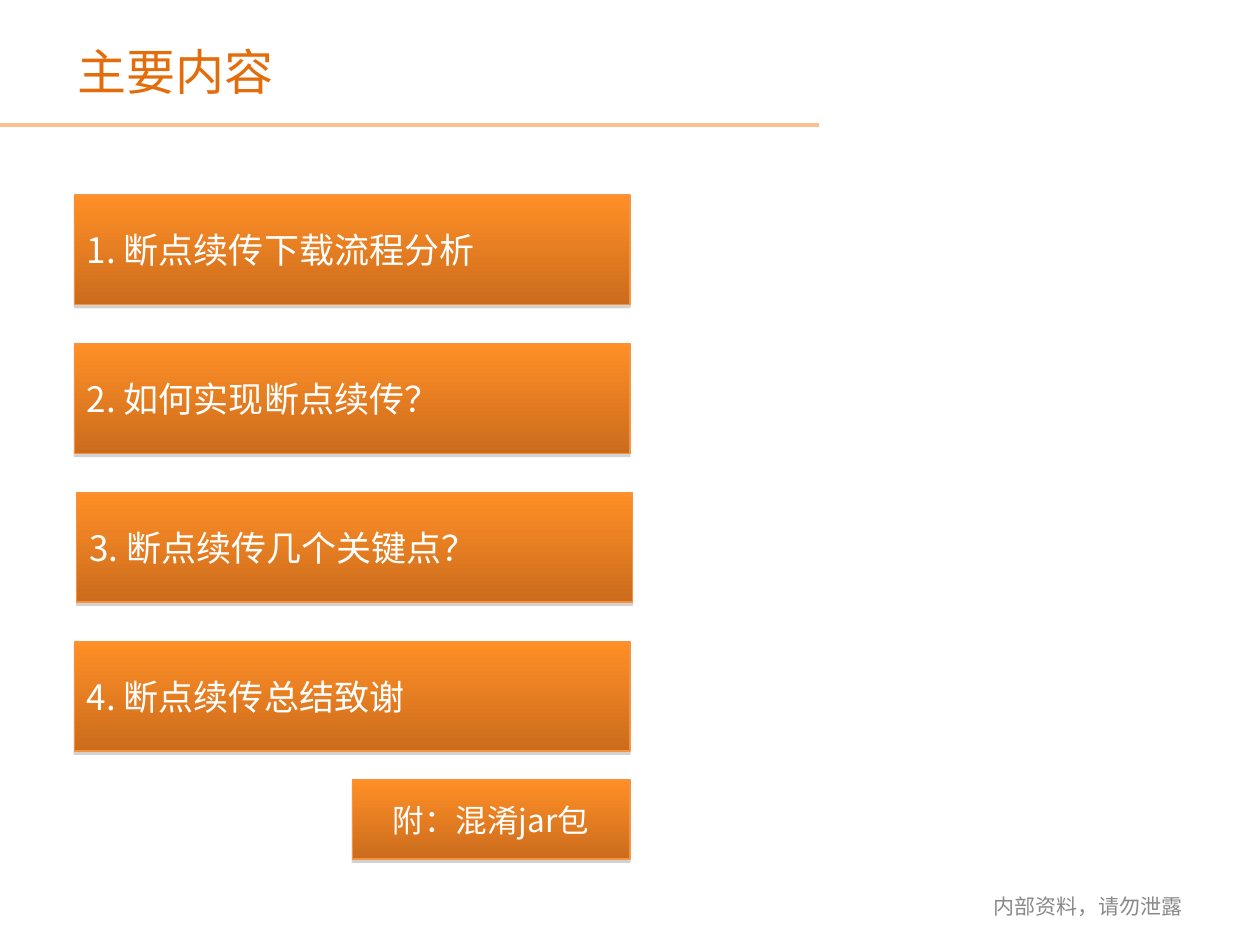
from lxml import etree
from pptx import Presentation
from pptx.dml.color import RGBColor
from pptx.enum.shapes import MSO_CONNECTOR, MSO_SHAPE
from pptx.enum.text import MSO_ANCHOR, PP_ALIGN
from pptx.oxml import parse_xml
from pptx.oxml.ns import nsdecls, qn
from pptx.util import Cm, Pt

RECTANGLE, STRAIGHT = MSO_SHAPE.RECTANGLE, MSO_CONNECTOR.STRAIGHT
TOP, MIDDLE = MSO_ANCHOR.TOP, MSO_ANCHOR.MIDDLE
LEFT, CENTER = PP_ALIGN.LEFT, PP_ALIGN.CENTER

WHITE = RGBColor(0xFF, 0xFF, 0xFF)
TITLE_ORANGE = RGBColor(0xE4, 0x6C, 0x0A)
RULE_PEACH = RGBColor(0xFA, 0xC0, 0x90)
BAR_LIGHT = RGBColor(0xFF, 0x8F, 0x26)
BAR_DARK = RGBColor(0xCB, 0x6C, 0x1D)
BAR_EDGE = RGBColor(0xF6, 0x92, 0x40)
FOOTER_GRAY = RGBColor(0x89, 0x89, 0x89)
CJK_FONT = "Noto Sans CJK SC"

# Content
TITLE = "主要内容"
TOPICS = [  # text, left edge in cm
    ("1. 断点续传下载流程分析", 1.5),
    ("2. 如何实现断点续传？", 1.5),
    ("3. 断点续传几个关键点？", 1.55),
    ("4. 断点续传总结致谢", 1.5),
]
APPENDIX = "附：混淆jar包"
FOOTER = "内部资料，请勿泄露"

# Layout in cm
TOPIC_TOP, TOPIC_STEP = 3.93, 3.0
TOPIC_WIDTH, TOPIC_HEIGHT = 11.2, 2.21

# Text formats
TITLE_FONT = {"size": Pt(28), "name": CJK_FONT}
TOPIC_FONT = {"size": Pt(20), "name": CJK_FONT}
APPENDIX_FONT = {"size": Pt(18), "name": CJK_FONT}
FOOTER_FONT = {"size": Pt(12), "name": "Calibri"}

SHADOW = (
    f'<a:outerShdw {nsdecls("a")} blurRad="0" dist="22860" dir="5400000" '
    'algn="t" rotWithShape="0"><a:srgbClr val="808080">'
    '<a:alpha val="35000"/></a:srgbClr></a:outerShdw>'
)


def write(shape, text, font_format, color, align, anchor=MIDDLE, wrap=True):
    frame = shape.text_frame
    frame.word_wrap = wrap
    frame.vertical_anchor = anchor
    paragraph = frame.paragraphs[0]
    paragraph.alignment = align
    run = paragraph.add_run()
    run.text = text
    for attribute, value in font_format.items():
        setattr(run.font, attribute, value)
    run.font.color.rgb = color
    # East Asian typeface
    etree.SubElement(run.font._element, qn("a:ea")).set("typeface", CJK_FONT)


def add_bar(slide, box, text, font_format, align):
    bar = slide.shapes.add_shape(RECTANGLE, *map(Cm, box))
    bar.fill.gradient()
    bar.fill.gradient_angle = 270
    for stop, position, color in zip(
        bar.fill.gradient_stops, (0, 1), (BAR_LIGHT, BAR_DARK)
    ):
        stop.position = position
        stop.color.rgb = color
    bar.line.color.rgb = BAR_EDGE
    bar.line.width = Pt(0.75)
    bar.shadow.inherit = False
    bar._element.spPr.find(qn("a:effectLst")).append(parse_xml(SHADOW))
    write(bar, text, font_format, WHITE, align)


def main():
    deck = Presentation()
    deck.slide_width, deck.slide_height = Cm(25.4), Cm(19.05)
    slide = deck.slides.add_slide(deck.slide_layouts[6])

    # Title and the rule below it
    rule = slide.shapes.add_connector(STRAIGHT, 0, Cm(2.52), Cm(16.5), Cm(2.52))
    rule.line.color.rgb = RULE_PEACH
    rule.line.width = Pt(2)
    etree.SubElement(rule._element.spPr, qn("a:effectLst"))
    title = slide.shapes.add_textbox(Cm(1.32), Cm(0.71), Cm(4.45), Cm(1.45))
    write(title, TITLE, TITLE_FONT, TITLE_ORANGE, CENTER, TOP, wrap=False)

    # Topic bars
    for row, (topic, left) in enumerate(TOPICS):
        box = (left, TOPIC_TOP + row * TOPIC_STEP, TOPIC_WIDTH, TOPIC_HEIGHT)
        add_bar(slide, box, topic, TOPIC_FONT, LEFT)

    # Appendix bar, right-aligned with the topics
    add_bar(slide, (7.1, 15.72, 5.6, 1.6), APPENDIX, APPENDIX_FONT, CENTER)

    # Footer
    footer = slide.shapes.add_textbox(Cm(19.71), Cm(17.75), Cm(4.45), Cm(1.02))
    write(footer, FOOTER, FOOTER_FONT, FOOTER_GRAY, CENTER)

    deck.save("out.pptx")


if __name__ == "__main__":
    main()
